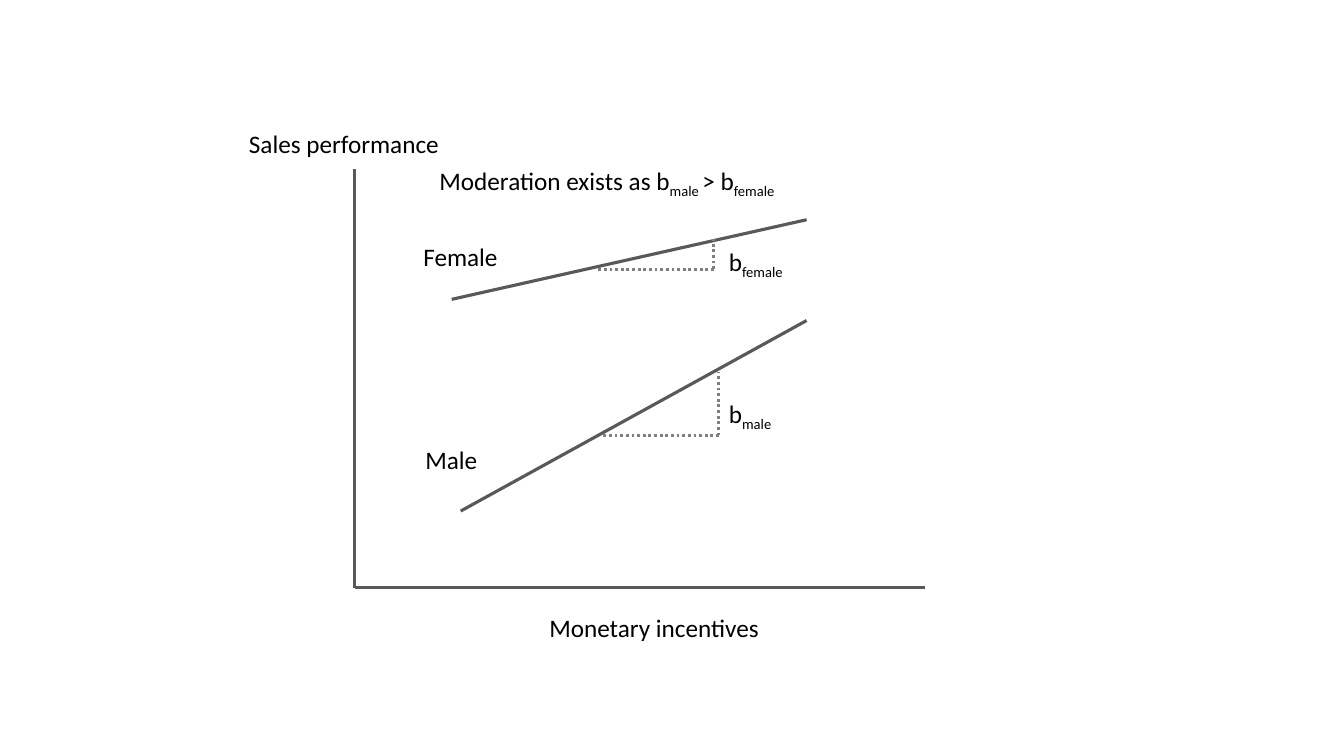
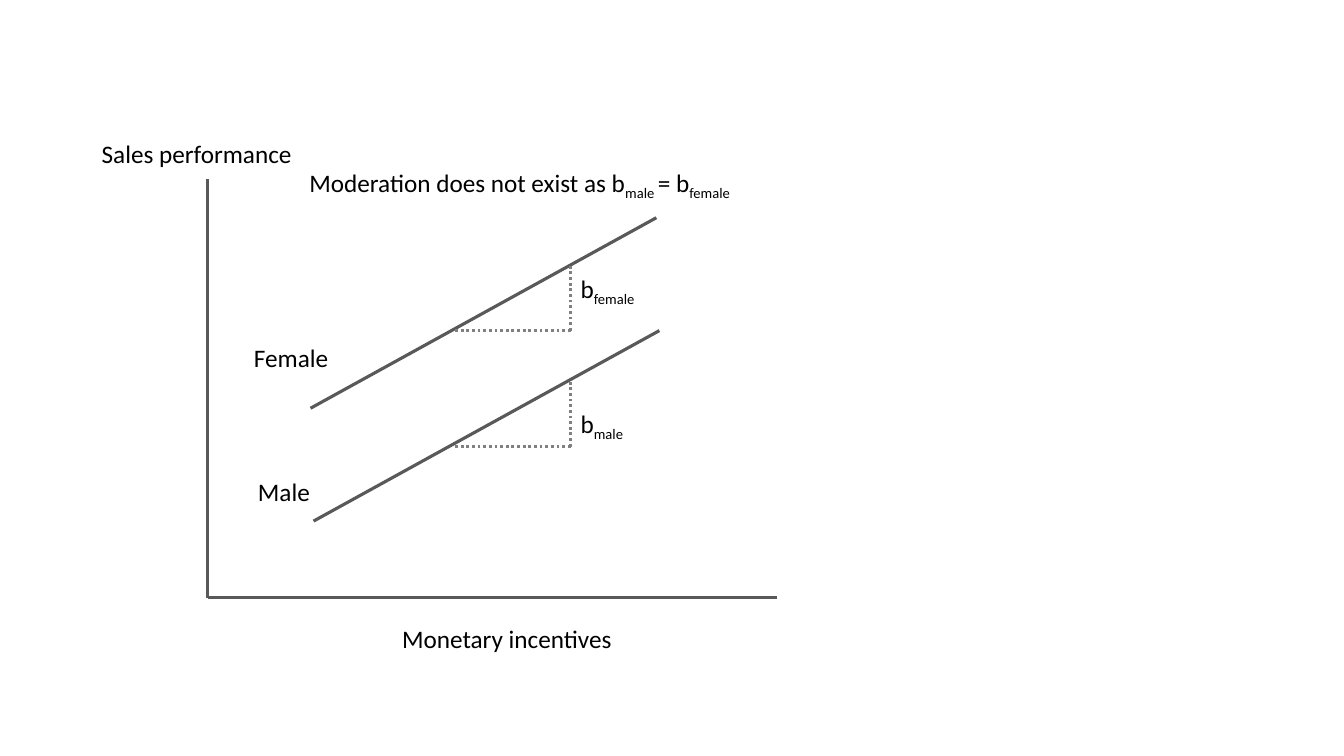
"""Two line diagrams that show when gender moderates the effect of incentives."""
from dataclasses import dataclass

from pptx import Presentation
from pptx.dml.color import RGBColor
from pptx.enum.dml import MSO_LINE_DASH_STYLE as Dash
from pptx.enum.shapes import MSO_CONNECTOR as Connector
from pptx.enum.text import MSO_AUTO_SIZE as AutoSize
from pptx.oxml.ns import qn
from pptx.slide import Slide
from pptx.util import Inches, Pt

Point = tuple[float, float]

FONT = "Calibri"
TEXT_COLOUR = "000000"
LINE_COLOUR = "595959"
SLOPE_COLOUR = "808080"
AXIS_WIDTH, AXIS_HEIGHT = 5.65, 4.15
TEXT_HEIGHT = 0.4
SUBSCRIPT_MARK = "|"


@dataclass(frozen=True)
class Label:
    """Text in a box; every second part between marks is a subscript."""
    text: str
    at: Point
    width: float
    wrap: bool = False


@dataclass(frozen=True)
class Trend:
    """A group's line with its dotted slope triangle and labels."""
    start: Point
    end: Point
    corner: Point
    run: float
    rise: float
    name: Label
    slope: Label


@dataclass(frozen=True)
class Diagram:
    """One slide: the axes' origin, a heading and the trends."""
    origin: Point
    heading: Label
    trends: tuple[Trend, ...]


DIAGRAMS = (
    Diagram(
        (3.52, 5.83),
        Label("Moderation exists as b|male |> b|female", (4.26, 1.59), 4.49, True),
        (
            Trend((4.48, 2.97), (8, 2.18), (7.08, 2.67), 1.15, 0.3,
                  Label("Female", (4.1, 2.34), 0.95), Label("b|female", (7.13, 2.39), 0.8)),
            Trend((4.57, 5.07), (8, 3.18), (7.13, 4.32), 1.16, 0.63,
                  Label("Male", (4.12, 4.36), 0.72), Label("b|male", (7.13, 3.9), 0.67)),
        ),
    ),
    Diagram(
        (2.06, 5.93),
        Label("Moderation does not exist as b|male |= b|female", (2.97, 1.61), 5.19, True),
        (
            Trend((3.08, 4.05), (6.51, 2.16), (5.66, 3.28), 1.16, 0.65,
                  Label("Female", (2.42, 3.35), 0.95), Label("b|female", (5.66, 2.66), 0.8)),
            Trend((3.11, 5.17), (6.54, 3.28), (5.66, 4.43), 1.16, 0.65,
                  Label("Male", (2.46, 4.68), 0.72), Label("b|male", (5.66, 4), 0.67)),
        ),
    ),
)


def colour(value: str) -> RGBColor:
    """Return the colour for a hex string."""
    return RGBColor.from_string(value)


def add_line(page: Slide, start: Point, end: Point, *, stroke: str = LINE_COLOUR,
             weight: float = 2.25, dotted: bool = False) -> None:
    """Draw a straight line without a shadow."""
    ends = [Inches(value) for value in (*start, *end)]
    connector = page.shapes.add_connector(Connector.STRAIGHT, *ends)
    connector.line.color.rgb = colour(stroke)
    connector.line.width = Pt(weight)
    if dotted:
        connector.line.dash_style = Dash.ROUND_DOT
    properties = connector._element.spPr
    properties.append(properties.makeelement(qn("a:effectLst"), {}))


def add_text(page: Slide, label: Label, *, size: float = 18, ink: str = TEXT_COLOUR) -> None:
    """Write a label, with its marked parts as subscripts."""
    left, top = label.at
    box = page.shapes.add_textbox(
        Inches(left), Inches(top), Inches(label.width), Inches(TEXT_HEIGHT))
    frame = box.text_frame
    frame.word_wrap = label.wrap
    frame.auto_size = AutoSize.SHAPE_TO_FIT_TEXT
    para = frame.paragraphs[0]
    for index, part in enumerate(label.text.split(SUBSCRIPT_MARK)):
        span = para.add_run()
        span.text = part
        span.font.name = FONT
        span.font.size = Pt(size)
        span.font.color.rgb = colour(ink)
        if index % 2:
            span.font._element.set("baseline", "-25000")


def add_axes(page: Slide, origin: Point) -> None:
    """Draw both axes from the origin and name them."""
    x, y = origin
    add_line(page, (x, y - AXIS_HEIGHT), origin)
    add_line(page, (x + AXIS_WIDTH, y), origin)
    add_text(page, Label("Monetary incentives", (x + 1.83, y + 0.2), 2.3))
    add_text(page, Label("Sales performance", (x - 1.15, y - 4.61), 2.11))


def add_trend(page: Slide, trend: Trend) -> None:
    """Draw a trend line, its slope triangle and its labels."""
    add_line(page, trend.end, trend.start)
    x, y = trend.corner
    for end in ((x - trend.run, y), (x, y - trend.rise)):
        add_line(page, trend.corner, end, stroke=SLOPE_COLOUR, weight=2, dotted=True)
    add_text(page, trend.name)
    add_text(page, trend.slope)


def main() -> None:
    """Build the deck and save it."""
    deck = Presentation()
    deck.slide_width, deck.slide_height = Inches(13.33), Inches(7.5)
    blank = deck.slide_layouts[6]
    for diagram in DIAGRAMS:
        page = deck.slides.add_slide(blank)
        add_axes(page, diagram.origin)
        for trend in diagram.trends:
            add_trend(page, trend)
        add_text(page, diagram.heading)
    deck.save("out.pptx")


if __name__ == "__main__":
    main()
